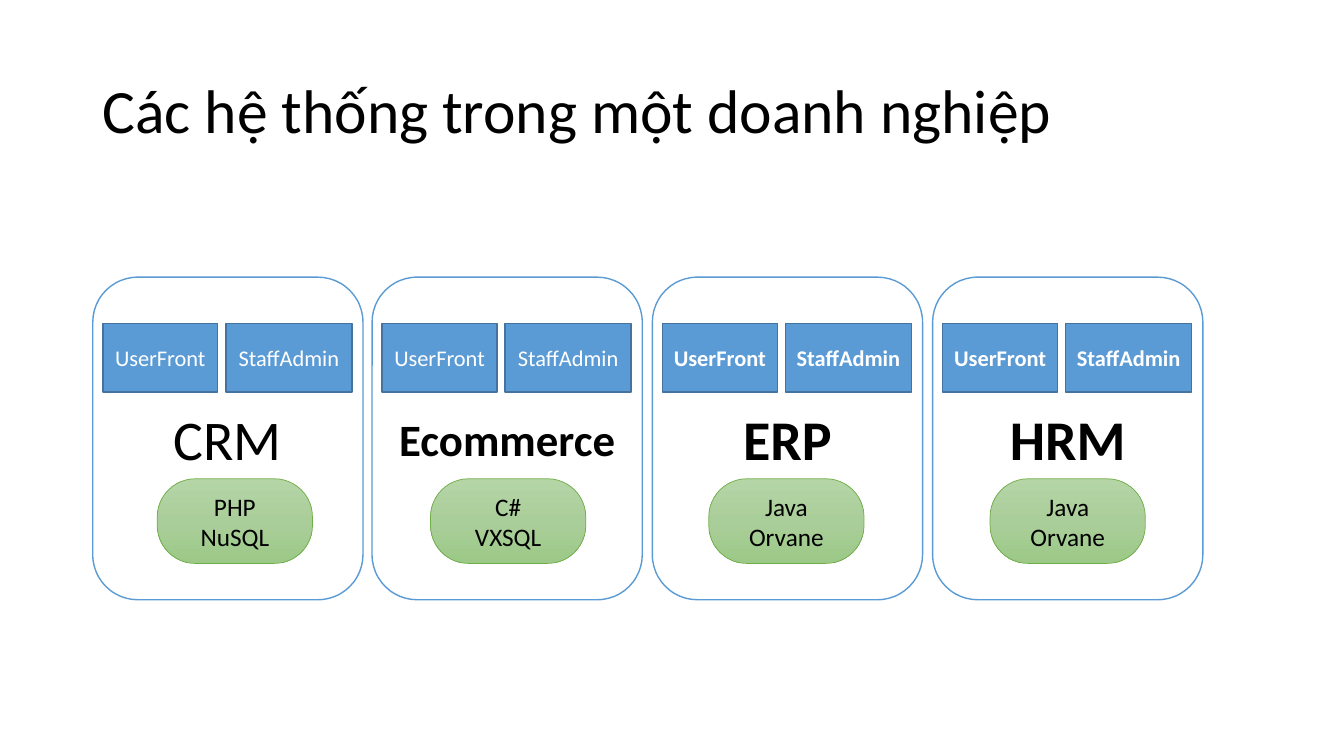
"""Build the slide on the systems inside a company."""
from copy import deepcopy

from pptx import Presentation
from pptx import util as u
from pptx.dml.color import RGBColor
from pptx.enum import shapes, text

PX = 9144
COLORS = {
    "black": "000000", "white": "FFFFFF",
    "blue": "5B9BD5", "navy": "43739E", "green": "70AD47",
    "leaf_top": "B5D5A7", "leaf_middle": "AACE9A", "leaf_bottom": "9CC987",
}
LEAF = ("leaf_top", "leaf_middle", "leaf_bottom")
ROUNDED = shapes.MSO_SHAPE.ROUNDED_RECTANGLE
RECTANGLE = shapes.MSO_SHAPE.RECTANGLE
CARD_LEFT, CARD_SPAN = 92, 833
FRONTENDS = (("UserFront", 10, 114), ("StaffAdmin", 132, 125))
SYSTEMS = (
    ("CRM", 40, False, False, "PHP\nNuSQL", 156),
    ("Ecommerce", 32, True, False, "C#\nVXSQL", 427),
    ("ERP", 40, True, True, "Java\nOrvane", 703),
    ("HRM", 40, True, True, "Java\nOrvane", 982),
)


def color(name):
    """Return the named colour."""
    return RGBColor.from_string(COLORS[name])


def apply(target, values):
    """Set every attribute in values on target."""
    for name, value in values.items():
        setattr(target, name, value)


def write(shape, words, size, ink="black", bold=False,
          align=text.PP_ALIGN.CENTER, spacing=1.0):
    """Put formatted words in the vertical middle of a shape."""
    frame = shape.text_frame
    apply(frame, {"word_wrap": True,
                  "vertical_anchor": text.MSO_ANCHOR.MIDDLE})
    paragraph = frame.paragraphs[0]
    apply(paragraph, {"text": words, "alignment": align,
                      "line_spacing": spacing})
    for run in paragraph.runs:
        apply(run.font, {"name": "Calibri", "size": u.Pt(size), "bold": bold})
        run.font.color.rgb = color(ink)


def add_title(slide, words):
    """Add the slide heading."""
    heading = slide.shapes.add_textbox(*(n * PX for n in (92, 40, 1150, 145)))
    write(heading, words, 44, align=text.PP_ALIGN.LEFT, spacing=0.9)


def add_box(slide, kind, area, fill, line, width=1):
    """Add a filled and outlined preset shape."""
    box = slide.shapes.add_shape(kind, *(n * PX for n in area))
    box.shadow.inherit = False
    box.fill.solid()
    box.fill.fore_color.rgb = color(fill)
    box.line.color.rgb = color(line)
    box.line.width = u.Pt(width)
    return box


def add_card(slide, left, name, size, bold, bold_frontends):
    """Add a system card with its two front ends."""
    card = add_box(slide, ROUNDED, (left, 275, 268, 320), "white", "blue")
    write(card, name, size, bold=bold)
    for label, offset, width in FRONTENDS:
        frontend = add_box(slide, RECTANGLE, (left + offset, 321, width, 68),
                           "blue", "navy")
        write(frontend, label, 16, "white", bold_frontends)


def add_stack(slide, left, technologies):
    """Add the green pill that names a system's technologies."""
    pill = add_box(slide, ROUNDED, (left, 475, 154, 84), LEAF[0], "green", 0.5)
    pill.adjustments[0] = 0.45
    pill.fill.gradient()
    pill.fill.gradient_angle = 270
    first = pill.element.spPr.xpath("./a:gradFill/a:gsLst/a:gs")[0]
    first.addnext(deepcopy(first))
    for index, (stop, name) in enumerate(zip(pill.fill.gradient_stops, LEAF)):
        stop.position = index / 2
        stop.color.rgb = color(name)
    write(pill, technologies, 18)


def main():
    """Build and save the slide."""
    deck = Presentation()
    apply(deck, {"slide_width": 1333 * PX, "slide_height": 750 * PX})
    slide = deck.slides.add_slide(deck.slide_layouts[6])
    add_title(slide, "Các hệ thống trong một doanh nghiệp")
    for index, (*system, _, _) in enumerate(SYSTEMS):
        add_card(slide, CARD_LEFT + index * CARD_SPAN // 3, *system)
    for *_, technologies, left in SYSTEMS:
        add_stack(slide, left, technologies)
    deck.save("out.pptx")


if __name__ == "__main__":
    main()
